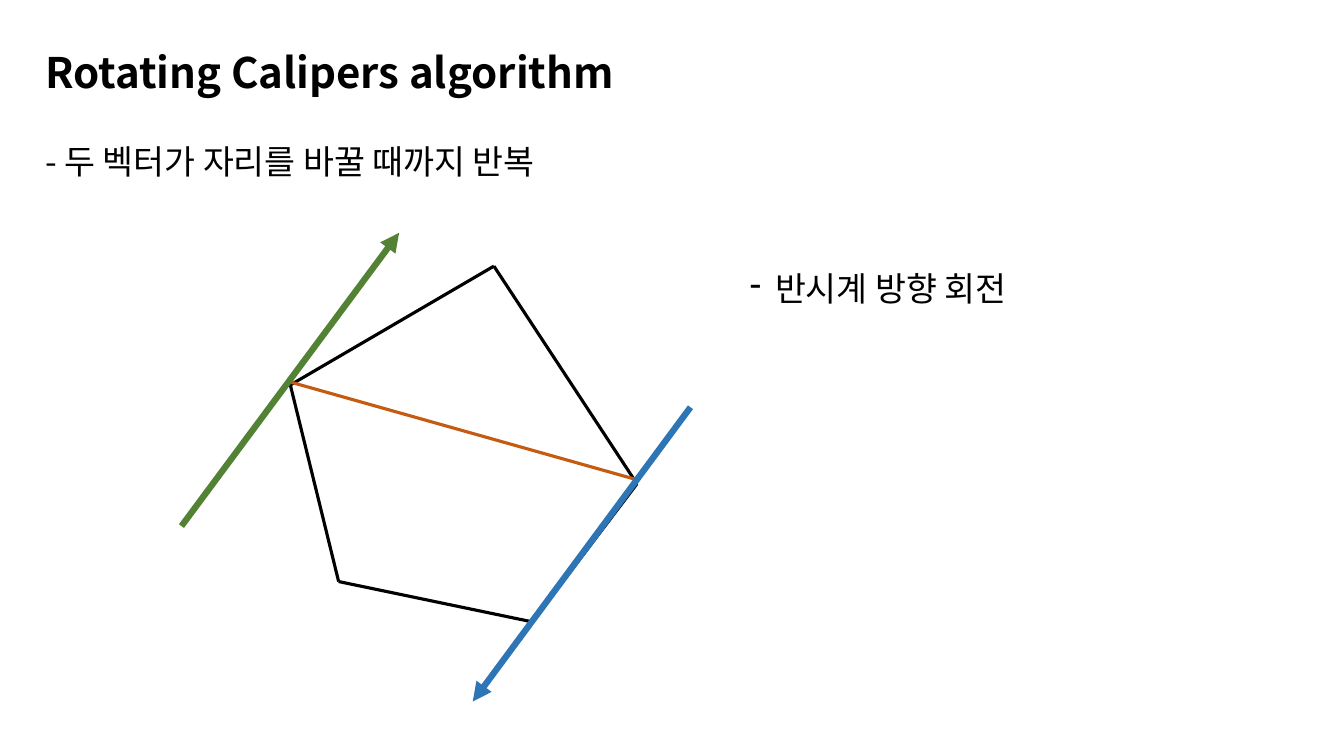
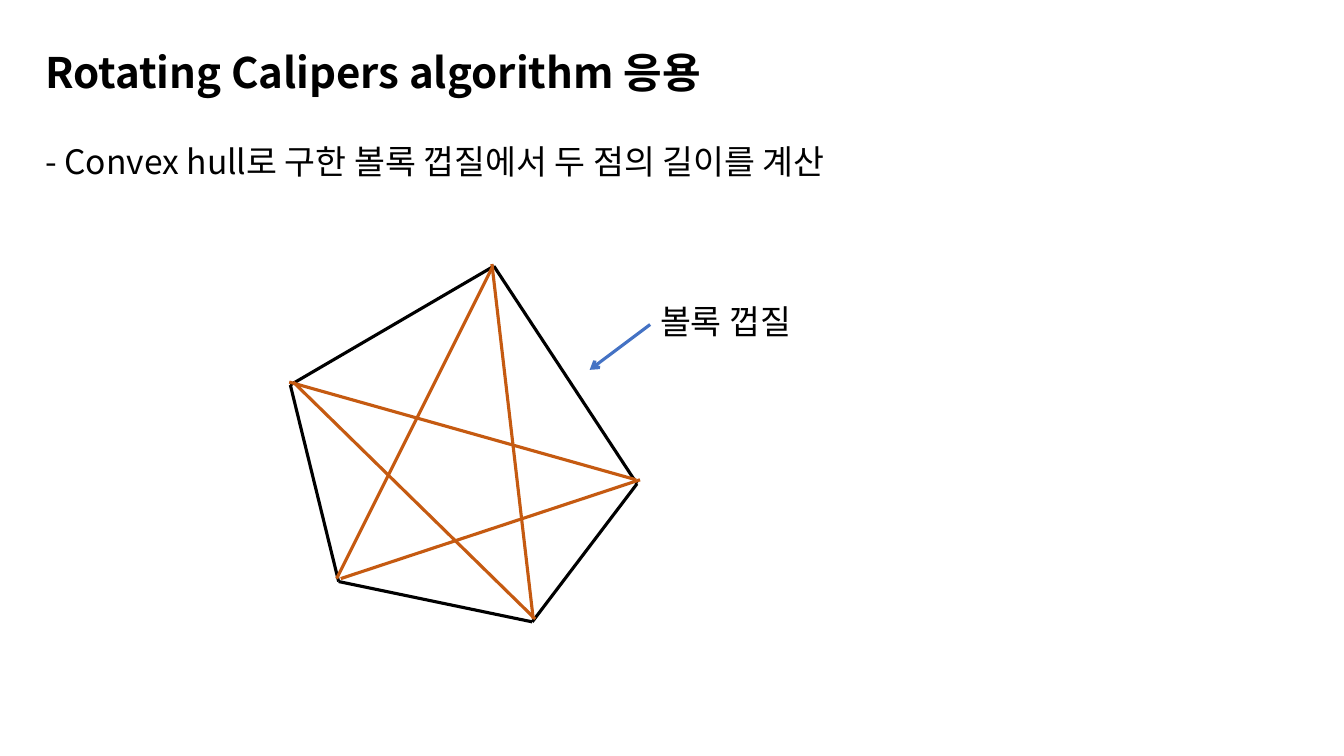
from dataclasses import dataclass
from typing import Optional

from lxml import etree
from pptx import Presentation
from pptx import util as u
from pptx.dml.color import RGBColor
from pptx.enum import shapes, text
from pptx.oxml import ns
from pptx.slide import Slide

BLACK = RGBColor(0x00, 0x00, 0x00)
ORANGE = RGBColor(0xC5, 0x5A, 0x11)
BLUE = RGBColor(0x2E, 0x75, 0xB6)
GREEN = RGBColor(0x54, 0x82, 0x35)
POINTER_BLUE = RGBColor(0x44, 0x72, 0xC4)
FONT = "Noto Sans CJK KR"
Point = tuple[float, float]


@dataclass(frozen=True)
class Segment:
    start: Point
    end: Point
    color: RGBColor = ORANGE
    width: float = 2.25
    arrowhead: Optional[str] = None


@dataclass(frozen=True)
class Passage:
    words: str
    box: tuple[float, float, float, float]
    size: float = 24
    bold: bool = False
    anchor: text.MSO_ANCHOR = text.MSO_ANCHOR.TOP
    line_spacing: float = 0.9
    space_before: float = 10
    bullet: Optional[str] = None


@dataclass(frozen=True)
class Page:
    title: str
    statement: str
    segments: list[Segment]
    remark: Passage


HULL: list[Point] = [
    (207.4, 275), (352.8, 190.1), (455, 345.6), (380.2, 444.2), (241.9, 415.4),
]

PAGES = [
    Page(
        "Rotating Calipers algorithm",
        "- 두 벡터가 자리를 바꿀 때까지 반복",
        [
            Segment((455, 342.7), (207.4, 272.9)),
            Segment((493.2, 290.9), (337.7, 501.1), BLUE, 4.5, "triangle"),
            Segment((129.6, 375.8), (285.1, 166.3), GREEN, 4.5, "triangle"),
        ],
        Passage("반시계 방향 회전", (528.5, 187.9, 392.4, 234),
                line_spacing=1.0, bullet="-"),
    ),
    Page(
        "Rotating Calipers algorithm 응용",
        "- Convex hull로 구한 볼록 껍질에서 두 점의 길이를 계산",
        [
            Segment((457.2, 342.7), (243.4, 413.3)),
            Segment((454.3, 342.7), (206.6, 272.9)),
            Segment((380.9, 442.1), (351.4, 188.6)),
            Segment((351.4, 191.5), (240.5, 413.3)),
            Segment((382.3, 442.1), (209.5, 272.9)),
            Segment((464.4, 231.8), (421.2, 264.2), POINTER_BLUE,
                    arrowhead="arrow"),
        ],
        Passage("볼록 껍질", (464.4, 197.3, 146.9, 57.6), line_spacing=1.5),
    ),
]


def apply_format(target: object, values: dict[str, object]) -> None:
    for name, value in values.items():
        setattr(target, name, value)


def draw_segment(slide: Slide, segment: Segment) -> None:
    ends = [u.Pt(v) for v in (*segment.start, *segment.end)]
    stroke = slide.shapes.add_connector(shapes.MSO_CONNECTOR.STRAIGHT, *ends)
    stroke.line.width = u.Pt(segment.width)
    stroke.line.color.rgb = segment.color
    properties = stroke._element.spPr
    if segment.arrowhead:
        outline = properties.find(ns.qn("a:ln"))
        etree.SubElement(outline, ns.qn("a:tailEnd"), type=segment.arrowhead)
    etree.SubElement(properties, ns.qn("a:effectLst"))


def write_passage(slide: Slide, passage: Passage) -> None:
    frame = slide.shapes.add_textbox(*map(u.Pt, passage.box)).text_frame
    apply_format(frame, {"word_wrap": True, "vertical_anchor": passage.anchor})
    paragraph = frame.paragraphs[0]
    apply_format(paragraph, {
        "line_spacing": passage.line_spacing,
        "space_before": u.Pt(passage.space_before),
    })
    if passage.bullet:
        properties = paragraph._p.get_or_add_pPr()
        indent = u.Pt(18)
        properties.set("marL", str(indent))
        properties.set("indent", str(-indent))
        etree.SubElement(properties, ns.qn("a:buChar"), char=passage.bullet)
    run = paragraph.add_run()
    run.text = passage.words
    apply_format(run.font, {
        "name": FONT, "size": u.Pt(passage.size), "bold": passage.bold,
    })
    run.font.color.rgb = BLACK
    etree.SubElement(run._r.get_or_add_rPr(), ns.qn("a:ea"), typeface=FONT)


def draw_hull(slide: Slide) -> None:
    for start, end in zip(HULL, HULL[1:] + HULL[:1]):
        draw_segment(slide, Segment(start, end, BLACK))


def build_page(slide: Slide, page: Page) -> None:
    draw_hull(slide)
    write_passage(slide, Passage(
        page.title, (25.2, 25.2, 907.9, 56.9), size=30, bold=True,
        anchor=text.MSO_ANCHOR.MIDDLE, space_before=0,
    ))
    write_passage(slide, Passage(page.statement, (25.2, 100.1, 907.9, 55.4)))
    for segment in page.segments:
        draw_segment(slide, segment)
    write_passage(slide, page.remark)


def main() -> None:
    deck = Presentation()
    apply_format(deck, {"slide_width": u.Pt(960), "slide_height": u.Pt(540)})
    blank = deck.slide_layouts[6]
    for page in PAGES:
        build_page(deck.slides.add_slide(blank), page)
    deck.save("out.pptx")


main()
